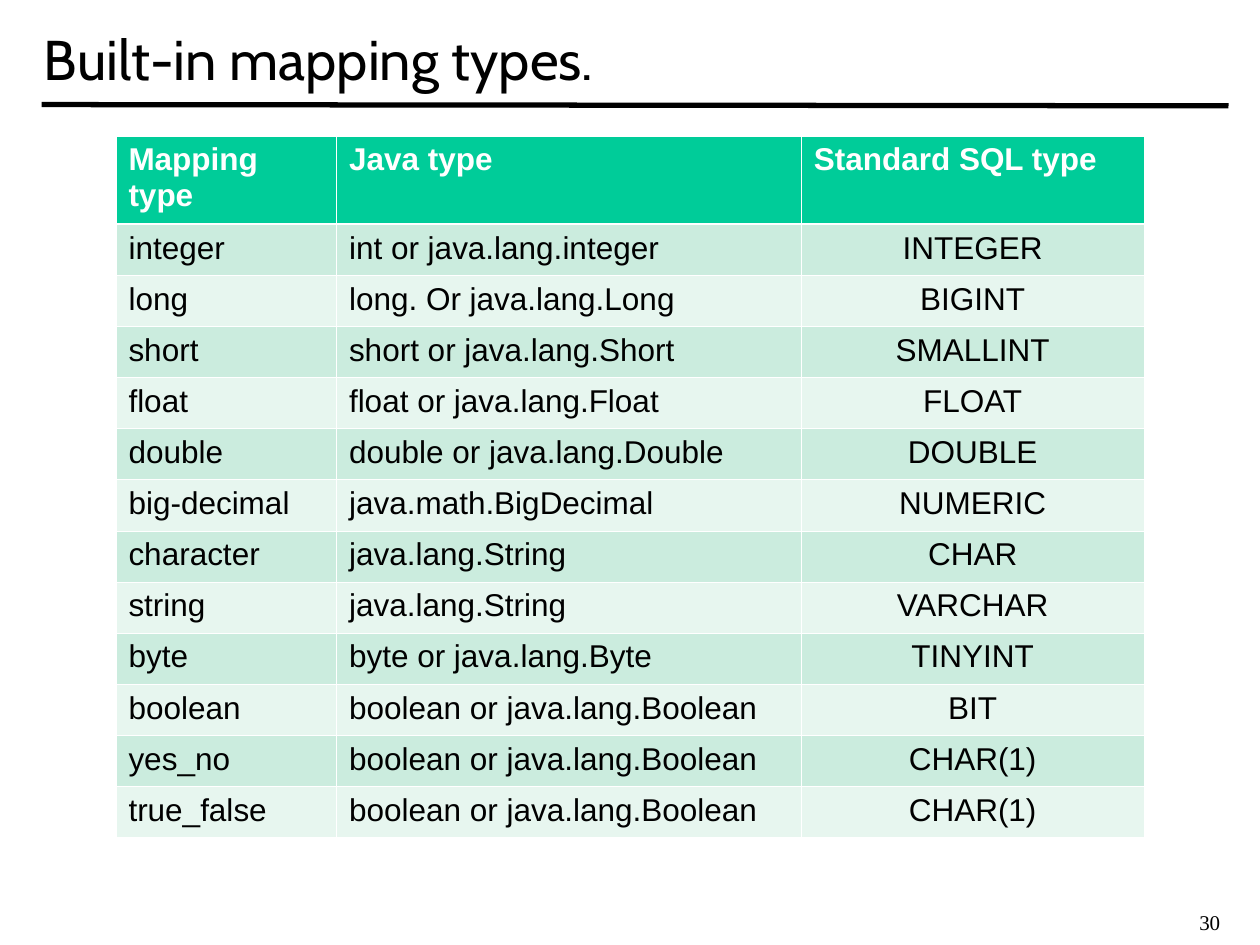
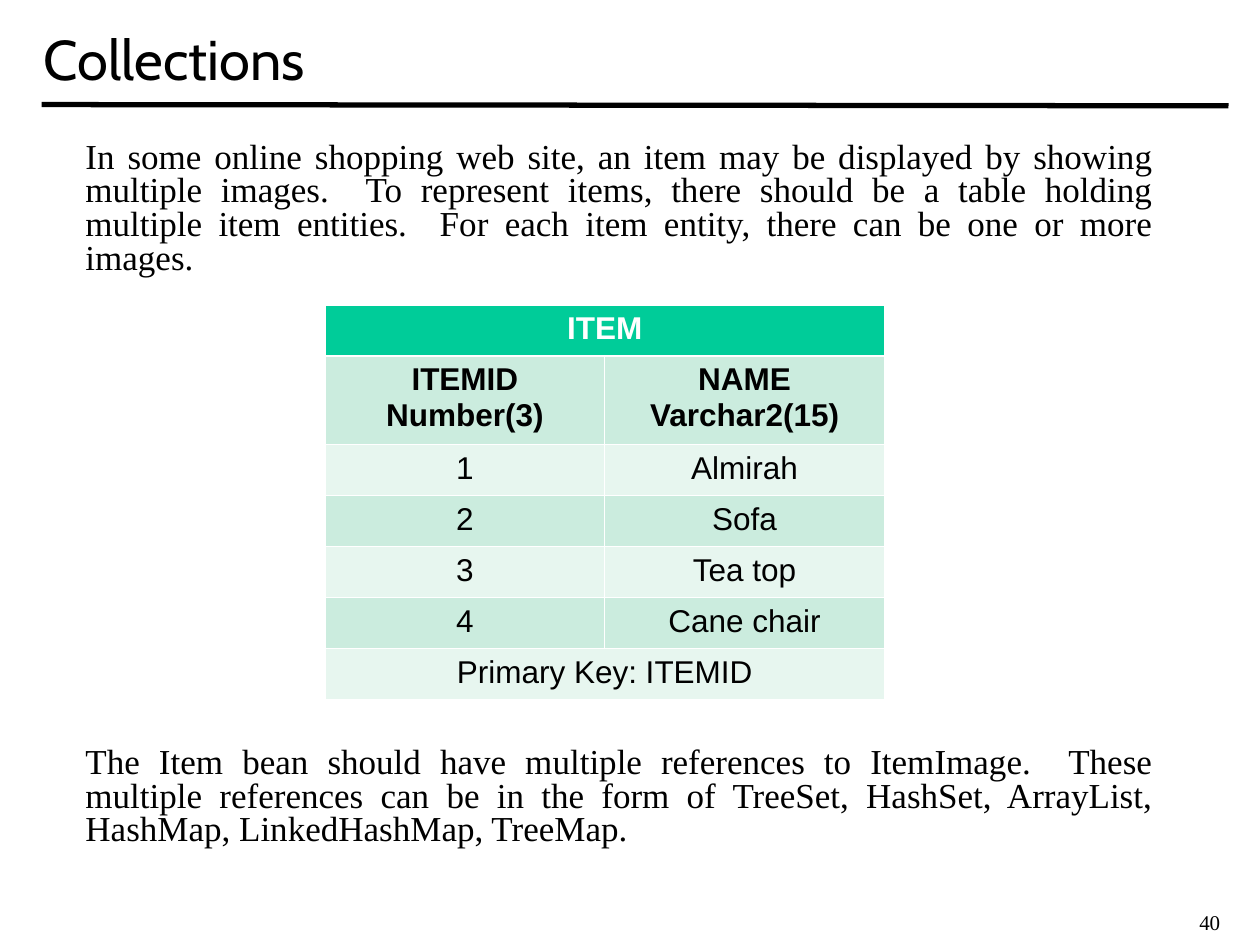
import pptx
import pptx.dml.color
import pptx.enum.shapes
import pptx.enum.text
import pptx.oxml.ns
import pptx.util
from lxml import etree

RGBColor = pptx.dml.color.RGBColor
Inches, Pt = pptx.util.Inches, pptx.util.Pt
ALIGN = pptx.enum.text.PP_ALIGN
ANCHOR = pptx.enum.text.MSO_ANCHOR
qn = pptx.oxml.ns.qn

# Content
MAPPING = {
    "title": "Built-in mapping types.",
    "number": "30",
    "table": {
        "at": (0.92, 1.08), "height": 5.57, "columns": (1.75, 3.69, 2.72),
        "tall_row": 0, "bold_rows": 1,
        "header_aligns": (ALIGN.LEFT, ALIGN.LEFT, ALIGN.LEFT),
        "body_aligns": (ALIGN.LEFT, ALIGN.LEFT, ALIGN.CENTER),
        "rows": [
            ("Mapping type", "Java type", "Standard SQL type"),
            ("integer", "int or java.lang.integer", "INTEGER"),
            ("long", "long. Or java.lang.Long", "BIGINT"),
            ("short", "short or java.lang.Short", "SMALLINT"),
            ("float", "float or java.lang.Float", "FLOAT"),
            ("double", "double or java.lang.Double", "DOUBLE"),
            ("big-decimal", "java.math.BigDecimal", "NUMERIC"),
            ("character", "java.lang.String", "CHAR"),
            ("string", "java.lang.String", "VARCHAR"),
            ("byte", "byte or java.lang.Byte", "TINYINT"),
            ("boolean", "boolean or java.lang.Boolean", "BIT"),
            ("yes_no", "boolean or java.lang.Boolean", "CHAR(1)"),
            ("true_false", "boolean or java.lang.Boolean", "CHAR(1)"),
        ],
    },
}
COLLECTIONS = {
    "title": "Collections",
    "number": "40",
    "body": [
        "In some online shopping web site, an item may be displayed by showing "
        "multiple images.  To represent items, there should be a table holding "
        "multiple item entities.  For each item entity, there can be one or "
        "more images.",
        "The Item bean should have multiple references to ItemImage.  These "
        "multiple references can be in the form of TreeSet, HashSet, ArrayList, "
        "HashMap, LinkedHashMap, TreeMap.",
    ],
    # A row with one entry spans the whole table
    "table": {
        "at": (2.58, 2.42), "height": 3.13, "columns": (2.22, 2.22),
        "tall_row": 1, "bold_rows": 2,
        "header_aligns": (ALIGN.CENTER, ALIGN.CENTER),
        "body_aligns": (ALIGN.CENTER, ALIGN.CENTER),
        "rows": [
            ("ITEM",),
            ("ITEMID\nNumber(3)", "NAME\nVarchar2(15)"),
            ("1", "Almirah"),
            ("2", "Sofa"),
            ("3", "Tea top"),
            ("4", "Cane chair"),
            ("Primary Key: ITEMID",),
        ],
    },
}

# Shared style
BLACK = RGBColor(0x00, 0x00, 0x00)
WHITE = RGBColor(0xFF, 0xFF, 0xFF)
HEADER_GREEN = RGBColor(0x00, 0xCC, 0x99)
BANDS = (RGBColor(0xE7, 0xF6, 0xEF), RGBColor(0xCB, 0xEC, 0xDE))
TITLE_FONT, BODY_FONT, TABLE_FONT = "Cabin", "Times New Roman", "Arial"
TALL_ROW = 0.7
THIN, THICK = 0.45, 1.47
TABLE_GAP = 269  # points left between the body paragraphs for the table


def style(paragraph, font, size, color=BLACK, bold=False, align=ALIGN.LEFT):
    paragraph.alignment = align
    for span in paragraph.runs:
        span.font.name, span.font.size = font, Pt(size)
        span.font.color.rgb, span.font.bold = color, bold


def add_text(page, text, place, font, size, align=ALIGN.LEFT, anchor=ANCHOR.TOP):
    box = page.shapes.add_textbox(*map(Inches, place))
    frame = box.text_frame
    frame.word_wrap, frame.vertical_anchor = True, anchor
    frame.text = text
    for para in frame.paragraphs:
        style(para, font, size, align=align)
    return frame


def add_borders(cell, top, bottom):
    properties = cell._tc.get_or_add_tcPr()
    for side, width in (("L", THIN), ("R", THIN), ("T", top), ("B", bottom)):
        line = etree.SubElement(properties, qn("a:ln" + side), w=str(Pt(width)))
        fill = etree.SubElement(line, qn("a:solidFill"))
        etree.SubElement(fill, qn("a:srgbClr"), val=str(WHITE))


def add_grid(page, spec_table):
    rows, columns = spec_table["rows"], spec_table["columns"]
    height = spec_table["height"]
    place = (*spec_table["at"], sum(columns), height)
    table = page.shapes.add_table(len(rows), len(columns), *map(Inches, place)).table
    for column, width in zip(table.columns, columns):
        column.width = Inches(width)
    plain_row = (height - TALL_ROW) / (len(rows) - 1)

    for r, entries in enumerate(rows):
        table.rows[r].height = Inches(TALL_ROW if r == spec_table["tall_row"] else plain_row)
        aligns = spec_table["body_aligns" if r else "header_aligns"]
        for c in range(len(columns)):
            cell = table.cell(r, c)
            add_borders(cell, THICK if r == 1 else THIN, THICK if r == 0 else THIN)
            cell.fill.solid()
            cell.fill.fore_color.rgb = BANDS[r % 2] if r else HEADER_GREEN
            if c < len(entries):
                cell.text_frame.text = entries[c]
            for para in cell.text_frame.paragraphs:
                style(para, TABLE_FONT, 18, BLACK if r else WHITE,
                      r < spec_table["bold_rows"], aligns[c])
        if len(entries) == 1:
            table.cell(r, 0).merge(table.cell(r, len(columns) - 1))


def add_page(deck, content):
    page = deck.slides.add_slide(deck.slide_layouts[6])
    # Rule, page number and title
    rule = page.shapes.add_connector(
        pptx.enum.shapes.MSO_CONNECTOR.STRAIGHT, *map(Inches, (0.33, 0.83, 9.75, 0.84)))
    rule.line.color.rgb, rule.line.width = BLACK, Pt(3)
    etree.SubElement(rule._element.spPr, qn("a:effectLst"))
    add_text(page, content["number"], (9.42, 7.17, 0.54, 0.3), BODY_FONT, 12)
    add_text(page, content["title"], (0.25, 0, 9.5, 0.92), TITLE_FONT, 32,
             anchor=ANCHOR.MIDDLE)
    # Body text, parted by the table
    if "body" in content:
        frame = add_text(page, "\n".join(content["body"]), (0.58, 1.08, 8.67, 5.75),
                         BODY_FONT, 20, ALIGN.JUSTIFY)
        for para in frame.paragraphs:
            para.line_spacing = 0.8
        frame.paragraphs[-1].space_before = Pt(TABLE_GAP)
    add_grid(page, content["table"])


def main():
    deck = pptx.Presentation()
    deck.slide_width, deck.slide_height = Inches(10), Inches(7.5)
    for content in (MAPPING, COLLECTIONS):
        add_page(deck, content)
    deck.save("out.pptx")


if __name__ == "__main__":
    main()
